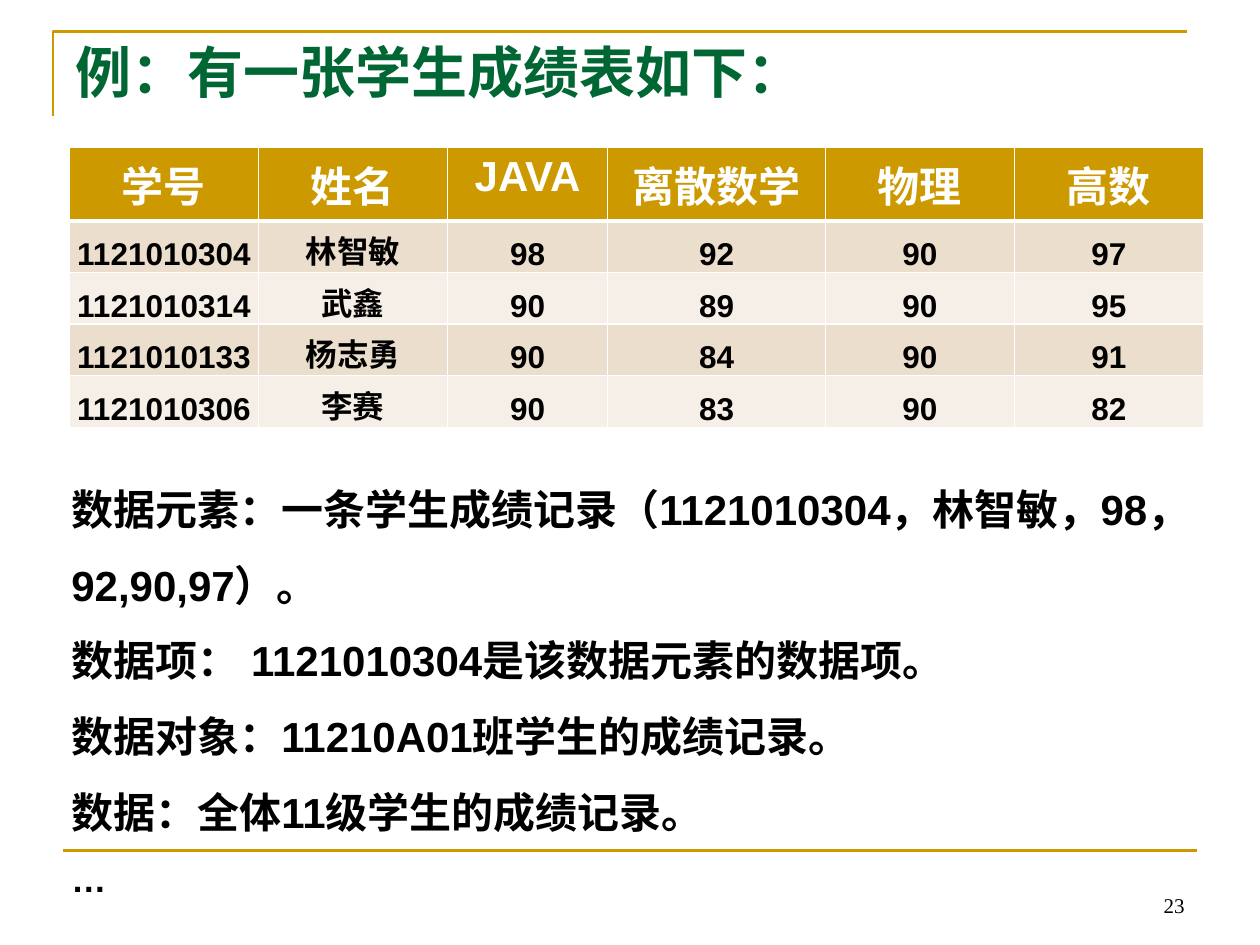
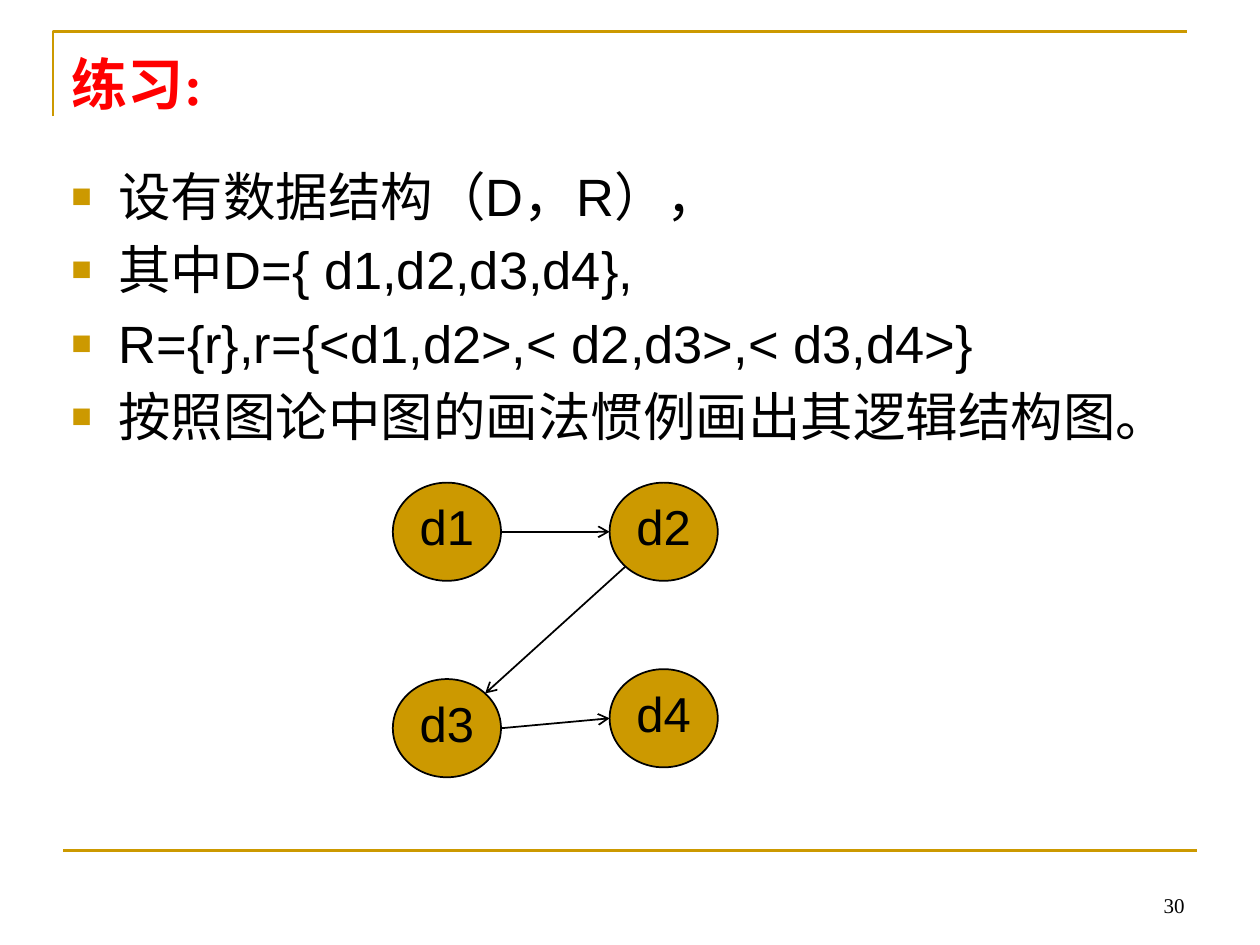
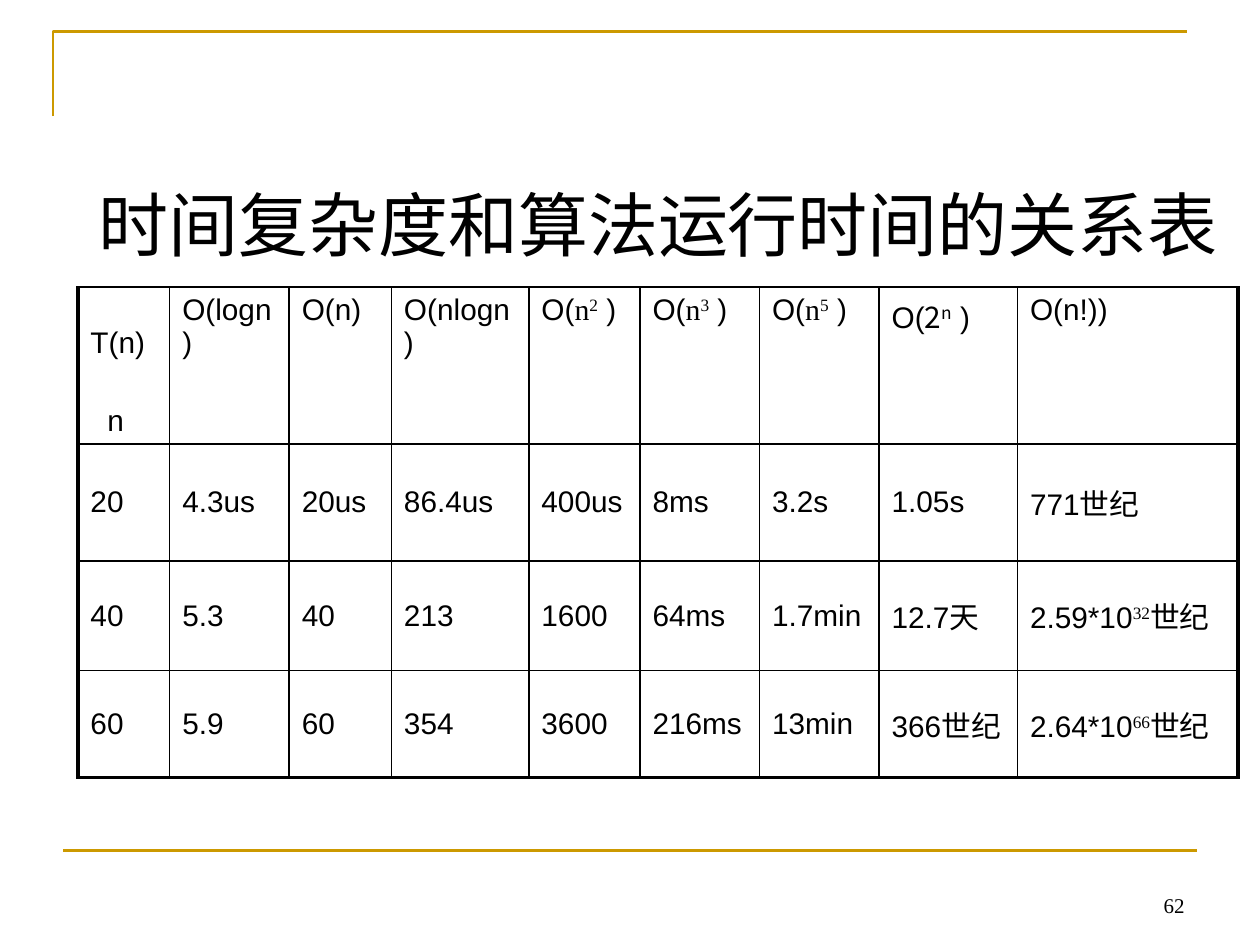
from math import sqrt

from lxml import etree
from pptx import Presentation
from pptx.dml.color import RGBColor
from pptx.enum.shapes import MSO_CONNECTOR, MSO_SHAPE
from pptx.enum.text import MSO_ANCHOR, MSO_AUTO_SIZE, PP_ALIGN
from pptx.oxml.ns import qn
from pptx.util import Cm, Pt

STRAIGHT, OVAL = MSO_CONNECTOR.STRAIGHT, MSO_SHAPE.OVAL
TOP, MIDDLE, BOTTOM = MSO_ANCHOR.TOP, MSO_ANCHOR.MIDDLE, MSO_ANCHOR.BOTTOM
LEFT, CENTER, RIGHT = PP_ALIGN.LEFT, PP_ALIGN.CENTER, PP_ALIGN.RIGHT
FIT_SHAPE, NO_FIT = MSO_AUTO_SIZE.SHAPE_TO_FIT_TEXT, MSO_AUTO_SIZE.NONE
TITLE_ONLY, BLANK = 5, 6

SANS, SERIF, HAN = "Arial", "Times New Roman", "Noto Sans CJK SC"
GOLD, GREEN, RED, BLACK, WHITE = "CC9900", "006633", "FF0000", "000000", "FFFFFF"
BANDS = ("ECDECC", "F6EFE7")

SCORES = [
    ["学号", "姓名", "JAVA", "离散数学", "物理", "高数"],
    ["1121010304", "林智敏", "98", "92", "90", "97"],
    ["1121010314", "武鑫", "90", "89", "90", "95"],
    ["1121010133", "杨志勇", "90", "84", "90", "91"],
    ["1121010306", "李赛", "90", "83", "90", "82"],
]
TERMS = [
    "数据元素：一条学生成绩记录（1121010304，林智敏，98，92,90,97）。",
    "数据项： 1121010304是该数据元素的数据项。",
    "数据对象：11210A01班学生的成绩记录。",
    "数据：全体11级学生的成绩记录。",
    [("…", {"size": Pt(20)})],
]
EXERCISE = [
    "设有数据结构（D，R），",
    "其中D={ d1,d2,d3,d4},",
    "R={r},r={<d1,d2>,< d2,d3>,< d3,d4>}",
    "按照图论中图的画法惯例画出其逻辑结构图。",
]
NODES = {"d1": (7.92, 9.73), "d2": (12.29, 9.73),
         "d3": (7.92, 13.69), "d4": (12.29, 13.49)}
NODE_WIDTH, NODE_HEIGHT = 2.18, 1.98
DIAGONAL = sqrt(0.5)
EDGES = [
    ("d1", (1, 0), "d2", (-1, 0)),
    ("d2", (-DIAGONAL, DIAGONAL), "d3", (DIAGONAL, -DIAGONAL)),
    ("d3", (1, 0), "d4", (-1, 0)),
]


def power(before, base, exponent, after, base_font=SERIF, exponent_font=SERIF):
    return [(before, {}), (base, {"name": base_font}),
            (exponent, {"name": exponent_font, "raised": 30}), (after, {})]


def centuries(mantissa, exponent):
    return [(mantissa + "*10", {}), (exponent, {"name": SERIF, "raised": 30}),
            ("世纪", {})]


RUNTIMES = [
    ["O(logn)", "O(n)", "O(nlogn)", power("O(", "n", "2", " )"),
     power("O(", "n", "3", " )"), power("O(", "n", "5", " )"),
     power("O(", "2", "n", " )", HAN, HAN), "O(n!))"],
    ["20", "4.3us", "20us", "86.4us", "400us", "8ms", "3.2s", "1.05s", "771世纪"],
    ["40", "5.3", "40", "213", "1600", "64ms", "1.7min", "12.7天",
     centuries("2.59", "32")],
    ["60", "5.9", "60", "354", "3600", "216ms", "13min", "366世纪",
     centuries("2.64", "66")],
]


def rgb(value):
    return RGBColor.from_string(value)


def box(*lengths):
    return [Cm(length) for length in lengths]


def apply(target, values):
    for attribute, value in values.items():
        setattr(target, attribute, value)


def child(parent, tag, **attributes):
    return etree.SubElement(parent, qn(tag), attributes)


def font(size, color=BLACK, name=SANS, bold=False, han=HAN):
    return {"size": Pt(size), "color": color, "name": name, "bold": bold, "han": han}


def write_run(paragraph, text, style):
    run = paragraph.add_run()
    run.text = text
    apply(run.font, {key: style[key] for key in ("size", "name", "bold")})
    run.font.color.rgb = rgb(style["color"])
    properties = run.font._element
    child(properties, "a:ea", typeface=style["han"])
    if "raised" in style:
        properties.set("baseline", str(style["raised"] * 1000))


def space_before_percent(paragraph, percent):
    spacing = child(paragraph._p.get_or_add_pPr(), "a:spcBef")
    child(spacing, "a:spcPct", val=str(percent * 1000))


def add_bullet(paragraph):
    properties = paragraph._p.get_or_add_pPr()
    properties.set("marL", str(Cm(0.95)))
    properties.set("indent", str(-Cm(0.95)))
    child(child(properties, "a:buClr"), "a:srgbClr", val=GOLD)
    child(properties, "a:buSzPct", val="65000")
    child(properties, "a:buFont", typeface=SANS)
    child(properties, "a:buChar", char="■")


def write(frame, lines, style, align=LEFT, spacing=None, before=None, bullets=False):
    for index, line in enumerate(lines):
        paragraph = frame.paragraphs[0] if index == 0 else frame.add_paragraph()
        apply(paragraph, {"alignment": align, "line_spacing": spacing})
        if before:
            space_before_percent(paragraph, before)
        if bullets:
            add_bullet(paragraph)
        runs = [(line, {})] if isinstance(line, str) else line
        for text, changes in runs:
            write_run(paragraph, text, {**style, **changes})


def add_text(slide, place, lines, style, anchor=TOP, fit=NO_FIT, **layout):
    frame = slide.shapes.add_textbox(*box(*place)).text_frame
    apply(frame, {"word_wrap": True, "auto_size": fit, "vertical_anchor": anchor})
    write(frame, lines, style, **layout)


def set_title(slide, place, text, color):
    title = slide.shapes.title
    apply(title, dict(zip(("left", "top", "width", "height"), box(*place))))
    apply(title.text_frame, {"vertical_anchor": TOP, "margin_top": 0,
                             "auto_size": NO_FIT, "word_wrap": True})
    write(title.text_frame, [text], font(32, color, SERIF, True))


def add_number(slide, number):
    add_text(slide, (18.21, 17.35, 5.92, 1.27), [number],
             font(12, name=SERIF), anchor=BOTTOM, align=RIGHT)


def add_line(shapes, start, end, color, width, arrow=False):
    line = shapes.add_connector(STRAIGHT, *box(*start, *end))
    line.line.color.rgb = rgb(color)
    line.line.width = Pt(width)
    if arrow:
        child(line.line._get_or_add_ln(), "a:tailEnd", type="arrow")
    child(line.element.spPr, "a:effectLst")
    return line


def add_frame_to_master(presentation, slide):
    builder = slide.shapes.build_freeform(*box(1.07, 2.34))
    builder.add_line_segments([box(1.07, 0.64), box(23.93, 0.64)], close=False)
    corner = builder.convert_to_shape()
    corner.shadow.inherit = False
    corner.fill.background()
    corner.line.color.rgb = rgb(GOLD)
    corner.line.width = Pt(1.5)
    rule = add_line(slide.shapes, (1.27, 17.15), (24.13, 17.15), GOLD, 1.5)
    for part in (corner, rule):
        presentation.slide_master.shapes.element.append(part.element)


def set_borders(cell, color, **widths):
    properties = cell._tc.get_or_add_tcPr()
    for position, side in enumerate("LRTB"):
        width = widths.get(side, 1)
        border = etree.Element(qn("a:ln" + side), w=str(Pt(width)))
        if width:
            child(child(border, "a:solidFill"), "a:srgbClr", val=color)
        else:
            child(border, "a:noFill")
        properties.insert(position, border)


def add_grid(slide, place, widths, heights):
    size = (sum(widths), sum(heights))
    table = slide.shapes.add_table(len(heights), len(widths),
                                   *box(*place, *size)).table
    apply(table, {"first_row": False, "horz_banding": False})
    for column, width in zip(table.columns, widths):
        column.width = Cm(width)
    for row, height in zip(table.rows, heights):
        row.height = Cm(height)
    return table


def add_scores(slide):
    table = add_grid(slide, (1.4, 2.97), [3.81, 3.81, 3.23, 4.39, 3.81, 3.81],
                     [0.84] + [1.04] * 4)
    tight = {"vertical_anchor": BOTTOM, "margin_left": Cm(0.03),
             "margin_right": Cm(0.03), "margin_top": Cm(0.03), "margin_bottom": 0}
    for row, record in enumerate(SCORES):
        for column, value in enumerate(record):
            cell = table.cell(row, column)
            cell.fill.solid()
            cell.fill.fore_color.rgb = rgb(BANDS[(row - 1) % 2] if row else GOLD)
            if row:
                apply(cell, tight)
            style = font(18, bold=True) if row else font(24, WHITE, bold=True)
            write(cell.text_frame, [value], style, align=CENTER)
            set_borders(cell, WHITE, T=3 if row == 1 else 1, B=1 if row else 3)


def add_runtimes(slide):
    widths = [1.85, 2.41, 2.06, 2.77, 2.24, 2.41, 2.41, 2.79, 4.45]
    table = add_grid(slide, (1.57, 1.98), widths, [3.81, 2.57, 2.36, 2.21, 2.16])
    last_row, last_column = len(table.rows) - 1, len(widths) - 1
    for row in range(last_row + 1):
        for column in range(last_column + 1):
            cell = table.cell(row, column)
            cell.fill.background()
            if row == 0:
                set_borders(cell, BLACK, L=0, R=0, T=0)
            else:
                set_borders(cell, BLACK, L=1 if column else 2.25,
                            R=2.25 if column == last_column else 1,
                            B=2.25 if row == last_row else 1)

    caption = table.cell(0, 0)
    caption.merge(table.cell(0, last_column))
    caption.margin_top = Cm(1.45)
    write(caption.text_frame, ["时间复杂度和算法运行时间的关系表"], font(40), align=CENTER)

    corner = table.cell(1, 0)
    corner.margin_top = Cm(0.8)
    write(corner.text_frame, ["T(n)", "n"], font(17))
    size_label = corner.text_frame.paragraphs[1]
    size_label.space_before = Pt(25)
    size_label._p.get_or_add_pPr().set("marL", str(Cm(0.34)))

    for row, record in enumerate(RUNTIMES, 1):
        first_column = len(widths) - len(record)
        for column, value in enumerate(record, first_column):
            cell = table.cell(row, column)
            cell.vertical_anchor = TOP if row == 1 else MIDDLE
            write(cell.text_frame, [value], font(17), before=20)


def rim_point(node, direction):
    left, top = NODES[node]
    return (left + NODE_WIDTH / 2 * (1 + direction[0]),
            top + NODE_HEIGHT / 2 * (1 + direction[1]))


def add_graph(slide):
    shapes = slide.shapes.add_group_shape().shapes
    for name, corner in NODES.items():
        node = shapes.add_shape(OVAL, *box(*corner, NODE_WIDTH, NODE_HEIGHT))
        node.shadow.inherit = False
        node.fill.solid()
        node.fill.fore_color.rgb = rgb(GOLD)
        node.line.color.rgb = rgb(BLACK)
        node.line.width = Pt(1)
        apply(node.text_frame, {"margin_left": 0, "margin_right": 0, "margin_top": 0,
                                "margin_bottom": 0, "vertical_anchor": TOP})
        write(node.text_frame, [name], font(28), align=CENTER)
    for source, leaving, target, arriving in EDGES:
        add_line(shapes, rim_point(source, leaving), rim_point(target, arriving),
                 BLACK, 1, arrow=True)


def build_scores_slide(slide):
    set_title(slide, (1.27, 0.76, 22.86, 2.01), "例：有一张学生成绩表如下：", GREEN)
    add_scores(slide)
    add_number(slide, "23")
    add_text(slide, (1.19, 9.12, 24.21, 12.07), TERMS,
             font(24, bold=True, han=SANS), fit=FIT_SHAPE, spacing=1.5)


def build_exercise_slide(slide):
    set_title(slide, (1.19, 0.99, 22.86, 3.18), "练习:", RED)
    add_text(slide, (1.19, 3.18, 23.62, 12.57), EXERCISE,
             font(30, han=SANS), before=20, bullets=True)
    add_number(slide, "30")
    add_graph(slide)


def build_runtimes_slide(slide):
    add_number(slide, "62")
    add_runtimes(slide)


def main():
    presentation = Presentation()
    apply(presentation, {"slide_width": Cm(25.4), "slide_height": Cm(19.05)})
    layouts = presentation.slide_layouts
    scores = presentation.slides.add_slide(layouts[TITLE_ONLY])
    add_frame_to_master(presentation, scores)
    build_scores_slide(scores)
    build_exercise_slide(presentation.slides.add_slide(layouts[TITLE_ONLY]))
    build_runtimes_slide(presentation.slides.add_slide(layouts[BLANK]))
    presentation.save("out.pptx")


main()
